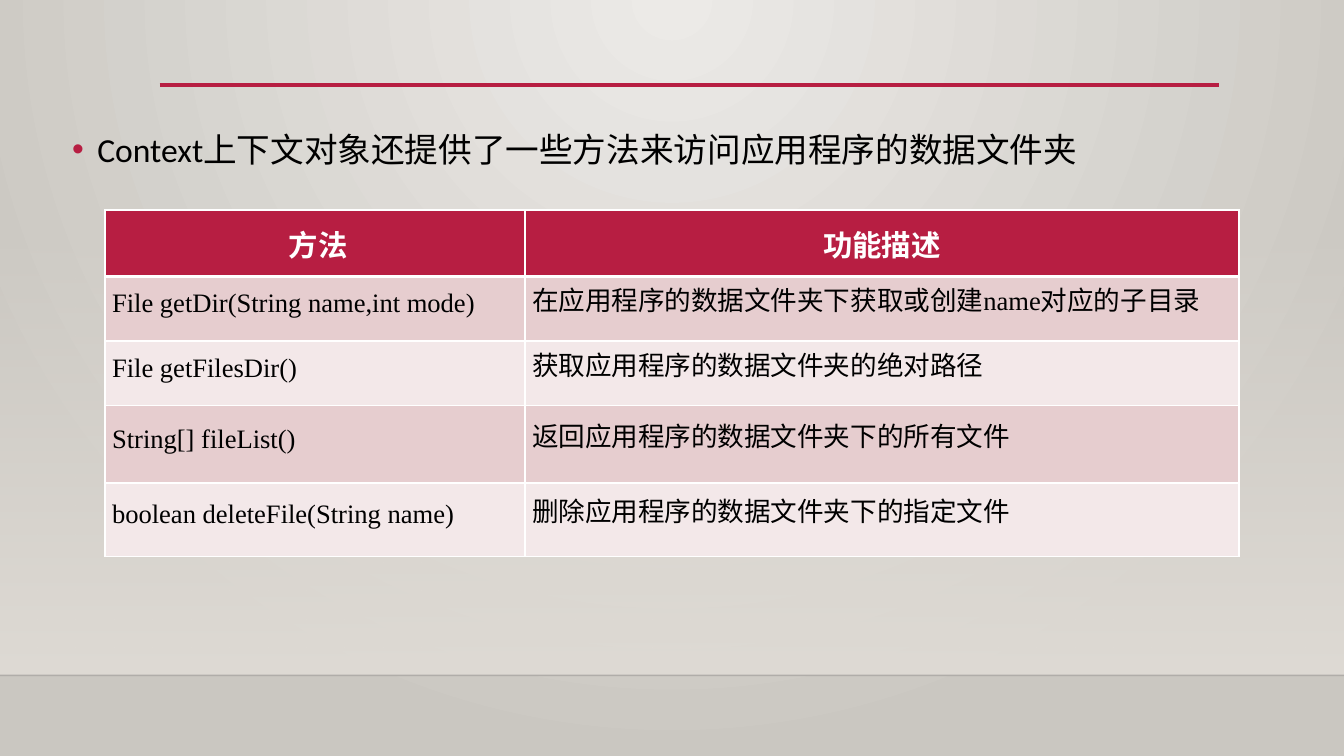
from dataclasses import dataclass

from lxml import etree
from pptx import Presentation
from pptx import util as u
from pptx.dml.color import RGBColor
from pptx.enum import shapes, text
from pptx.oxml.ns import nsdecls, qn
from pptx.oxml import parse_xml


@dataclass(frozen=True)
class Theme:
    accent: str = "B71E42"
    ink: str = "000000"
    paper: str = "FFFFFF"
    bands: tuple = ("E6CDCF", "F3E8E9")
    wall: tuple = ("ECEAE7", "CAC7C1")
    glow: str = "DFDBD5"
    floor_edge: str = "000001"
    lead_font: str = "Calibri"
    head_font: str = "Arial"
    body_font: str = "Times New Roman"
    lead_size: int = 24
    head_size: int = 21
    body_size: int = 19


class SlideBuilder:
    """Places elements on a grid of 160 columns by 90 rows."""

    def __init__(self, deck, theme):
        self.theme = theme
        self.column = deck.slide_width / 160
        self.row = deck.slide_height / 90
        self.slide = deck.slides.add_slide(deck.slide_layouts[6])

    def x(self, columns):
        return u.Emu(round(columns * self.column))

    def y(self, rows):
        return u.Emu(round(rows * self.row))

    def box(self, left, top, width, height):
        return self.x(left), self.y(top), self.x(width), self.y(height)

    def gradient(self, fill, owner, stops, direction):
        """Stops are (position, colour, opacity), all in percent."""
        fill.gradient()
        stop_xml = "".join(
            f'<a:gs pos="{position * 1000}"><a:srgbClr val="{color}">'
            f'<a:alpha val="{opacity * 1000}"/></a:srgbClr></a:gs>'
            for position, color, opacity in stops)
        blend = parse_xml(f'<a:gradFill {nsdecls("a")} rotWithShape="1">'
                          f'<a:gsLst>{stop_xml}</a:gsLst>{direction}</a:gradFill>')
        default = owner.find(".//" + qn("a:gradFill"))
        default.getparent().replace(default, blend)

    def background(self):
        inner, outer = self.theme.wall
        self.gradient(
            self.slide.background.fill, self.slide.element,
            [(0, inner, 100), (100, outer, 100)],
            '<a:path path="circle"><a:fillToRect l="43000" t="0" r="43000" b="100000"/></a:path>')

    def fade(self, *place):
        panel = self.slide.shapes.add_shape(shapes.MSO_SHAPE.RECTANGLE, *self.box(*place))
        panel.shadow.inherit = False
        panel.line.fill.background()
        glow = self.theme.glow
        self.gradient(panel.fill, panel.element, [(0, glow, 0), (100, glow, 100)],
                      '<a:lin ang="5400000" scaled="0"/>')

    def rule(self, start, end, row, color, width, opacity=100):
        line = self.slide.shapes.add_connector(
            shapes.MSO_CONNECTOR.STRAIGHT, self.x(start), self.y(row), self.x(end), self.y(row))
        line.line.color.rgb = RGBColor.from_string(color)
        line.line.width = u.Pt(width)
        properties = line.element.spPr
        if opacity < 100:
            tint = properties.find(".//" + qn("a:srgbClr"))
            etree.SubElement(tint, qn("a:alpha")).set("val", str(opacity * 1000))
        etree.SubElement(properties, qn("a:effectLst"))

    def run(self, paragraph, words, font, size, color, bold=False):
        piece = paragraph.add_run()
        piece.text = words
        piece.font.name = font
        piece.font.size = u.Pt(size)
        piece.font.bold = bold
        piece.font.color.rgb = RGBColor.from_string(color)

    def bullet(self, words, *place):
        theme = self.theme
        frame = self.slide.shapes.add_textbox(*self.box(*place)).text_frame
        frame.word_wrap = True
        frame.auto_size = text.MSO_AUTO_SIZE.SHAPE_TO_FIT_TEXT
        lead = frame.paragraphs[0]
        lead.line_spacing = 1.2
        lead.space_before = u.Pt(10)
        settings = lead._p.get_or_add_pPr()
        settings.set("marL", str(self.x(3)))
        settings.set("indent", str(-self.x(3)))
        mark_color = etree.SubElement(settings, qn("a:buClr"))
        etree.SubElement(mark_color, qn("a:srgbClr")).set("val", theme.accent)
        etree.SubElement(settings, qn("a:buFont")).set("typeface", theme.head_font)
        etree.SubElement(settings, qn("a:buChar")).set("char", "•")
        self.run(lead, words, theme.lead_font, theme.lead_size, theme.ink)

    def borders(self, cell, bottom):
        settings = cell._tc.get_or_add_tcPr()
        for side, width in zip("LRTB", (1, 1, 1, bottom)):
            settings.append(parse_xml(
                f'<a:ln{side} {nsdecls("a")} w="{u.Pt(width)}"><a:solidFill>'
                f'<a:srgbClr val="{self.theme.paper}"/></a:solidFill></a:ln{side}>'))

    def cell(self, cell, words, heading, color):
        theme = self.theme
        self.borders(cell, 3 if heading else 1)
        cell.fill.solid()
        cell.fill.fore_color.rgb = RGBColor.from_string(color)
        cell.vertical_anchor = text.MSO_ANCHOR.MIDDLE
        cell.margin_left = cell.margin_right = cell.margin_top = cell.margin_bottom = 0
        paragraph = cell.text_frame.paragraphs[0]
        if heading:
            paragraph.alignment = text.PP_ALIGN.CENTER
            self.run(paragraph, words, theme.head_font, theme.head_size, theme.paper, True)
        else:
            paragraph.line_spacing = u.Pt(13.5)
            settings = paragraph._p.get_or_add_pPr()
            settings.set("marL", str(u.Inches(0.07)))
            settings.set("indent", "0")
            self.run(paragraph, words, theme.body_font, theme.body_size, theme.ink)

    def table(self, entries, left, top, widths, heights):
        grid = self.slide.shapes.add_table(
            len(heights), len(widths), *self.box(left, top, sum(widths), sum(heights))).table
        for column, width in zip(grid.columns, widths):
            column.width = self.x(width)
        for index, (row, height, entry) in enumerate(zip(grid.rows, heights, entries)):
            row.height = self.y(height)
            heading = index == 0
            color = self.theme.accent if heading else self.theme.bands[(index - 1) % 2]
            for cell, words in zip(row.cells, entry):
                self.cell(cell, words, heading, color)


METHODS = [
    (" 方法", "功能描述"),
    ("File getDir(String name,int mode)", "在应用程序的数据文件夹下获取或创建name对应的子目录"),
    ("File getFilesDir()", "获取应用程序的数据文件夹的绝对路径"),
    ("String[] fileList()", "返回应用程序的数据文件夹下的所有文件"),
    ("boolean deleteFile(String name)", "删除应用程序的数据文件夹下的指定文件"),
]


def main():
    deck = Presentation()
    deck.slide_width, deck.slide_height = u.Inches(13.33), u.Inches(7.5)
    theme = Theme()
    page = SlideBuilder(deck, theme)

    # Backdrop: wall, floor edge and title rule
    page.background()
    page.fade(0, 26.5, 160, 53.9)
    page.rule(0, 160, 80.4, theme.floor_edge, 1, opacity=20)
    page.rule(19, 145.1, 10.1, theme.accent, 2.5)

    # Methods and what they do
    page.table(METHODS, 12.5, 25, widths=(50, 85), heights=(7.9, 7.7, 7.7, 9.2, 8.8))

    # Lead sentence
    page.bullet("Context上下文对象还提供了一些方法来访问应用程序的数据文件夹", 7.4, 13.8, 150, 6.6)

    deck.save("out.pptx")


if __name__ == "__main__":
    main()
